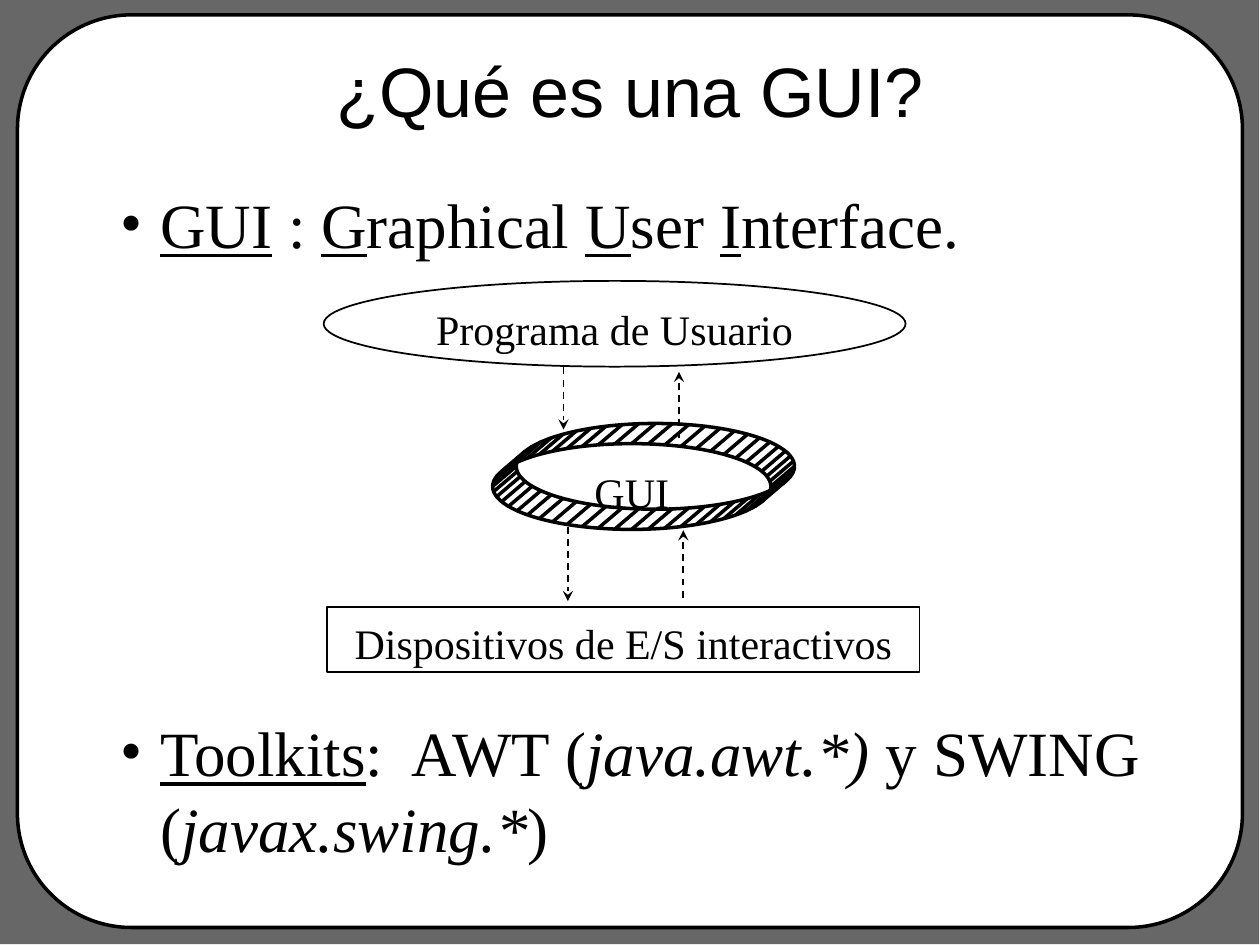
"""Build the slide that explains what a GUI is."""
import math
from dataclasses import dataclass

from lxml import etree
from pptx import Presentation
from pptx import util as u
from pptx.dml.color import RGBColor
from pptx.enum import dml, shapes, text
from pptx.oxml import ns

COLOURS = {"frame": "676767", "paper": "FFFFFF", "ink": "000000"}
SERIF, SANS = "Times New Roman", "Arial"
KINDS = shapes.MSO_SHAPE
PLAIN, UNDERLINED, ITALIC = {}, {"underline": True}, {"italic": True}
RING_DEPTH_X, RING_DEPTH_Y, RING_SPOKES = 13.5, -11.5, 52
BODY_INDENT, BODY_LINE, DIAGRAM_GAP = 23, 43.5, 258.5


@dataclass
class Box:
    """Place and size in points."""
    left: float
    top: float
    width: float
    height: float

    def lengths(self) -> list:
        return [u.Pt(v) for v in (self.left, self.top, self.width, self.height)]

    def moved(self, dx: float, dy: float) -> "Box":
        return Box(self.left + dx, self.top + dy, self.width, self.height)


@dataclass
class Node:
    """A labelled part of the diagram."""
    kind: int
    box: Box
    label: str
    weight: float = 1


@dataclass
class Arrow:
    """A vertical dashed arrow in points."""
    x: float
    start: float
    end: float


RING = Box(281.5, 253.5, 159, 49)
NODES = [
    Node(KINDS.OVAL, Box(185, 160.5, 332.5, 49), "Programa de Usuario"),
    Node(KINDS.OVAL, RING, "GUI", 2),
    Node(KINDS.RECTANGLE, Box(187, 347, 338.5, 37), "Dispositivos de E/S interactivos"),
]
ARROWS = [
    Arrow(322, 210, 245.5),
    Arrow(388, 250.5, 212.5),
    Arrow(324.5, 301, 343.5),
    Arrow(390.5, 341.5, 303),
]
BULLETS = [
    [("GUI", UNDERLINED), (" : ", PLAIN), ("G", UNDERLINED), ("raphical ", PLAIN),
     ("U", UNDERLINED), ("ser ", PLAIN), ("I", UNDERLINED), ("nterface.", PLAIN)],
    [("Toolkits", UNDERLINED), (":  AWT (", PLAIN), ("java.awt.*) ", ITALIC),
     ("y SWING (", PLAIN), ("javax.swing.*", ITALIC), (")", PLAIN)],
]
BULLET_FORMATS = [
    {"space_before": u.Pt(0)},
    {"space_before": u.Pt(DIAGRAM_GAP), "alignment": text.PP_ALIGN.JUSTIFY},
]


def set_all(target, values: dict) -> None:
    """Set each named attribute of the target."""
    for name, value in values.items():
        setattr(target, name, value)


def colour(name: str) -> RGBColor:
    """Return a named colour."""
    return RGBColor.from_string(COLOURS[name])


def style(shape, fill: str = "", weight: float = 0) -> None:
    """Give a shape its fill and outline, without a shadow."""
    shape.shadow.inherit = False
    if fill:
        shape.fill.solid()
        shape.fill.fore_color.rgb = colour(fill)
    else:
        shape.fill.background()
    if weight:
        shape.line.color.rgb = colour("ink")
        shape.line.width = u.Pt(weight)
    else:
        shape.line.fill.background()


def add_shape(slide, kind: int, box: Box, fill: str = "", weight: float = 0):
    """Add a styled preset shape."""
    shape = slide.shapes.add_shape(kind, *box.lengths())
    style(shape, fill, weight)
    return shape


def add_run(paragraph, words: str, font: str, size: float, extra: dict) -> None:
    """Add a run of text in ink colour."""
    run = paragraph.add_run()
    run.text = words
    set_all(run.font, {"name": font, "size": u.Pt(size), **extra})
    run.font.color.rgb = colour("ink")


def add_title(slide) -> None:
    """Add the slide title."""
    frame = slide.shapes.add_textbox(*Box(54, 6, 612, 90).lengths()).text_frame
    set_all(frame, {"word_wrap": True, "vertical_anchor": text.MSO_ANCHOR.MIDDLE})
    frame.paragraphs[0].alignment = text.PP_ALIGN.CENTER
    add_run(frame.paragraphs[0], "¿Qué es una GUI?", SANS, 40, PLAIN)


def add_body(slide) -> None:
    """Add the two bullets above and below the diagram."""
    shape = add_shape(slide, KINDS.ROUNDED_RECTANGLE, Box(46, 87, 628, 426))
    shape.adjustments[0] = 0.125
    frame = shape.text_frame
    set_all(frame, {"word_wrap": True, "vertical_anchor": text.MSO_ANCHOR.TOP,
                    "margin_top": u.Pt(3), "margin_bottom": u.Pt(3)})
    for index, (runs, values) in enumerate(zip(BULLETS, BULLET_FORMATS)):
        paragraph = frame.add_paragraph() if index else frame.paragraphs[0]
        set_all(paragraph, {"alignment": text.PP_ALIGN.LEFT,
                            "line_spacing": u.Pt(BODY_LINE), **values})
        properties = paragraph._p.get_or_add_pPr()
        properties.set("marL", str(u.Pt(BODY_INDENT)))
        properties.set("indent", str(-u.Pt(BODY_INDENT)))
        etree.SubElement(properties, ns.qn("a:buFont"), typeface=SERIF)
        etree.SubElement(properties, ns.qn("a:buChar"), char="•")
        for words, extra in runs:
            add_run(paragraph, words, SERIF, 36, extra)


def add_node(slide, node: Node) -> None:
    """Add a labelled outline shape."""
    shape = add_shape(slide, node.kind, node.box, weight=node.weight)
    frame = shape.text_frame
    set_all(frame, {"word_wrap": True, "vertical_anchor": text.MSO_ANCHOR.TOP,
                    "margin_top": u.Pt(6)})
    frame.paragraphs[0].alignment = text.PP_ALIGN.CENTER
    add_run(frame.paragraphs[0], node.label, SERIF, 24, PLAIN)


def add_ring_depth(slide) -> None:
    """Add the far rim of the ring and the spokes that join both rims."""
    add_shape(slide, KINDS.OVAL, RING.moved(RING_DEPTH_X, RING_DEPTH_Y), weight=2)
    spokes = []
    for step in range(RING_SPOKES):
        angle = math.tau * step / RING_SPOKES
        x = RING.left + RING.width / 2 * (1 + math.cos(angle))
        y = RING.top + RING.height / 2 * (1 + math.sin(angle))
        spokes.append([(u.Pt(x), u.Pt(y)),
                       (u.Pt(x + RING_DEPTH_X), u.Pt(y + RING_DEPTH_Y))])
    builder = slide.shapes.build_freeform(*spokes[0][0])
    for index, (near, far) in enumerate(spokes):
        if index:
            builder.move_to(*near)
        builder.add_line_segments([far], close=False)
    style(builder.convert_to_shape(), weight=2)


def add_arrow(slide, arrow: Arrow) -> None:
    """Add a dashed arrow with a stealth head."""
    ends = [u.Pt(v) for v in (arrow.x, arrow.start, arrow.x, arrow.end)]
    connector = slide.shapes.add_connector(shapes.MSO_CONNECTOR.STRAIGHT, *ends)
    connector.line.color.rgb = colour("ink")
    set_all(connector.line, {"width": u.Pt(1), "dash_style": dml.MSO_LINE.DASH})
    properties = connector._element.spPr
    etree.SubElement(properties.find(ns.qn("a:ln")), ns.qn("a:tailEnd"), type="stealth")
    etree.SubElement(properties, ns.qn("a:effectLst"))


def main() -> None:
    """Build and save the presentation."""
    presentation = Presentation()
    set_all(presentation, {"slide_width": u.Pt(720), "slide_height": u.Pt(540)})
    slide = presentation.slides.add_slide(presentation.slide_layouts[6])
    add_shape(slide, KINDS.RECTANGLE, Box(0, 0, 719.5, 539.5), "frame")
    paper = add_shape(slide, KINDS.ROUNDED_RECTANGLE, Box(10, 8.5, 700, 521.5), "paper", 2)
    paper.adjustments[0] = 0.125
    add_title(slide)
    add_body(slide)
    add_ring_depth(slide)
    for node in NODES:
        add_node(slide, node)
    for arrow in ARROWS:
        add_arrow(slide, arrow)
    presentation.save("out.pptx")


if __name__ == "__main__":
    main()
